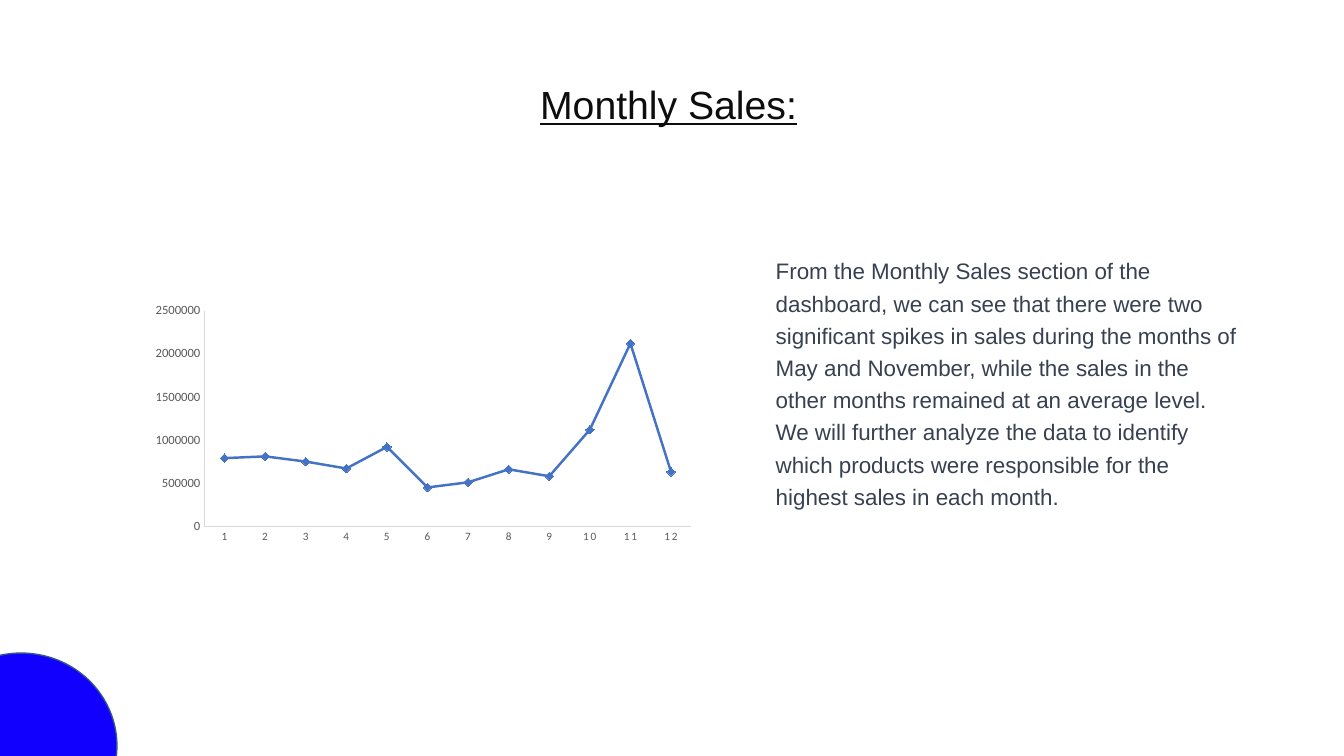
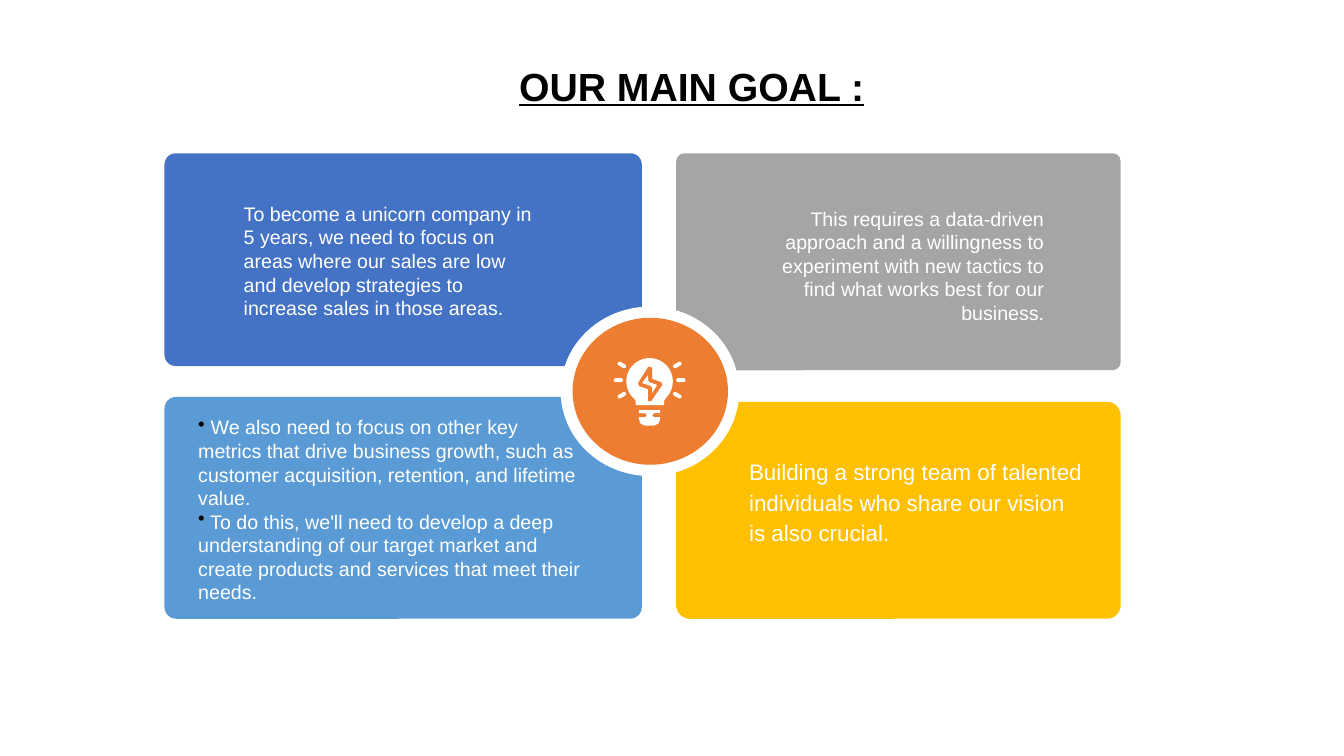
from itertools import product
from math import cos, radians, sin

from lxml.etree import SubElement
from pptx import Presentation
from pptx.chart.data import CategoryChartData
from pptx.dml.color import RGBColor
from pptx.enum.chart import XL_CHART_TYPE, XL_MARKER_STYLE, XL_TICK_MARK
from pptx.enum.shapes import MSO_SHAPE
from pptx.enum.text import MSO_ANCHOR, PP_ALIGN
from pptx.oxml import parse_xml
from pptx.oxml.ns import nsdecls, qn
from pptx.util import Pt

# Shared style
FONT = "Arial"
WHITE, BLACK = "FFFFFF", "000000"
BLUE, ORANGE = "4472C4", "ED7D31"
AXIS_TEXT, AXIS_LINE = "595959", "D9D9D9"
TITLE_SIZE = 28
color = RGBColor.from_string


def paint(shape, fill, line=None):
    shape.shadow.inherit = False
    shape.fill.solid()
    shape.fill.fore_color.rgb = color(fill)
    if line:
        shape.line.color.rgb = color(line)
        shape.line.width = Pt(1)
    else:
        shape.line.fill.background()


def add_text(slide, box, text, size, font_color, align=PP_ALIGN.LEFT, spacing=1.0,
             inset=7.2, bold=False, underline=False, bullet=False):
    frame = slide.shapes.add_textbox(*map(Pt, box)).text_frame
    frame.word_wrap = True
    frame.margin_left = frame.margin_right = Pt(7.2)
    frame.margin_top = frame.margin_bottom = Pt(inset)
    frame.text = text
    for paragraph in frame.paragraphs:
        paragraph.alignment = align
        paragraph.line_spacing = spacing
        if bullet:
            properties = paragraph._p.get_or_add_pPr()
            bullet_color = SubElement(properties, qn("a:buClr"))
            SubElement(bullet_color, qn("a:srgbClr"), val=BLACK)
            SubElement(properties, qn("a:buChar"), char="•")
        for run in paragraph.runs:
            run.font.name = FONT
            run.font.size = Pt(size)
            run.font.bold = bold
            run.font.underline = underline
            run.font.color.rgb = color(font_color)
    return frame


presentation = Presentation()
presentation.slide_width, presentation.slide_height = Pt(960), Pt(540)
blank_layout = presentation.slide_layouts[6]

# Slide 1: monthly sales
slide = presentation.slides.add_slide(blank_layout)
title = add_text(slide, (83.5, 0, 788, 153), "Monthly Sales:", TITLE_SIZE, "0D0D0D",
                 PP_ALIGN.CENTER, spacing=0.9, inset=3.6, underline=True)
title.vertical_anchor = MSO_ANCHOR.MIDDLE
add_text(
    slide, (547, 176.5, 345, 230),
    "From the Monthly Sales section of the dashboard, we can see that there were two "
    "significant spikes in sales during the months of May and November, while the sales "
    "in the other months remained at an average level. We will further analyze the data "
    "to identify which products were responsible for the highest sales in each month.",
    16, "374151", spacing=1.2, inset=3.6)

# Sales line chart
chart_data = CategoryChartData()
chart_data.categories = [str(month) for month in range(1, 13)]
chart_data.add_series("Series 1", (790000, 810000, 750000, 670000, 920000, 450000,
                                   510000, 660000, 580000, 1120000, 2120000, 630000))
chart = slide.shapes.add_chart(XL_CHART_TYPE.LINE_MARKERS, Pt(93), Pt(195), Pt(441),
                               Pt(230), chart_data).chart
chart.has_legend = chart.has_title = False
chart.font.name, chart.font.size = "Calibri", Pt(10)
chart.font.color.rgb = color(BLACK)
chart.plots[0].vary_by_categories = False
for axis, size in ((chart.category_axis, 8), (chart.value_axis, 9)):
    axis.has_major_gridlines = False
    axis.major_tick_mark = axis.minor_tick_mark = XL_TICK_MARK.NONE
    axis.format.line.color.rgb = color(AXIS_LINE)
    axis.format.line.width = Pt(0.75)
    label_font = axis.tick_labels.font
    label_font.name, label_font.size = "Calibri", Pt(size)
    label_font.color.rgb = color(AXIS_TEXT)
chart.value_axis.minimum_scale = 0
chart.value_axis.maximum_scale = 2500000
chart.value_axis.major_unit = 500000

series = chart.plots[0].series[0]
series.smooth = False
series.format.line.color.rgb = color(BLUE)
series.format.line.width = Pt(1.75)
series.marker.style, series.marker.size = XL_MARKER_STYLE.DIAMOND, 6
series.marker.format.fill.solid()
series.marker.format.fill.fore_color.rgb = color(BLUE)
series.marker.format.line.color.rgb = color(BLUE)

# Letter spacing of the months and fixed plot area
chart.element.xpath(".//c:catAx//a:defRPr")[0].set("spc", "120")
plot_area = chart.element.xpath(".//c:plotArea")[0]
for layout in plot_area.findall(qn("c:layout")):
    plot_area.remove(layout)
plot_area.insert(0, parse_xml(
    f'<c:layout {nsdecls("c")}><c:manualLayout><c:layoutTarget val="inner"/>'
    '<c:xMode val="edge"/><c:yMode val="edge"/><c:x val="0.12"/><c:y val="0.117"/>'
    '<c:w val="0.789"/><c:h val="0.67"/></c:manualLayout></c:layout>'))

# Corner circle
corner = slide.shapes.add_shape(MSO_SHAPE.OVAL, Pt(-53.5), Pt(466.5), Pt(137), Pt(132.5))
paint(corner, "1200FE", "325491")

# Slide 2: main goal
slide = presentation.slides.add_slide(blank_layout)
add_text(slide, (96, 37, 796, 50), "OUR MAIN GOAL :", TITLE_SIZE, BLACK,
         PP_ALIGN.CENTER, bold=True, underline=True)

# Four cards
LEFT_COLUMN, RIGHT_COLUMN = (117.5, 341), (483, 317.5)
cards = [
    (LEFT_COLUMN, 109.5, 152, 0.053, BLUE),
    (LEFT_COLUMN, 283.5, 158.5, 0.053, "5B9BD5"),
    (RIGHT_COLUMN, 109.5, 155, 0.037, "A5A5A5"),
    (RIGHT_COLUMN, 287, 155, 0.063, "FFC000"),
]
for (left, width), top, height, corner_radius, fill in cards:
    card = slide.shapes.add_shape(MSO_SHAPE.ROUNDED_RECTANGLE, Pt(left), Pt(top),
                                  Pt(width), Pt(height))
    card.adjustments[0] = corner_radius
    paint(card, fill)

# Centre badge
for left, top, width, height, fill in ((400.5, 219, 127.5, 121, WHITE),
                                       (409, 227, 111, 105, ORANGE)):
    badge = slide.shapes.add_shape(MSO_SHAPE.OVAL, Pt(left), Pt(top), Pt(width), Pt(height))
    paint(badge, fill)

# Light bulb: glass, bolt and socket
center_x, center_y, radius = 464, 272.4, 16.6
glass = [(center_x + radius * cos(radians(angle)), center_y + radius * sin(radians(angle)))
         for angle in range(140, 401, 5)] + [(474.5, 286), (474.5, 289.4),
                                             (454, 289.4), (454, 286)]
bolt_edge = [(464.4, 262), (465.8, 262.8), (465.8, 270.7), (472.3, 273), (473, 275),
             (465.1, 286.6), (463, 286.6), (463, 278), (456.5, 275.8), (455.8, 273.6),
             (463, 262)]
bolt = [(463, 267.8), (458.6, 273.6), (465.1, 275.8), (465.8, 277.2), (465.8, 280.8),
        (469.4, 275), (463.7, 272.9), (463, 271.4)]
socket_half = [(7.6, 293), (7.6, 295.2), (3.2, 295.2), (1.9, 296.6), (3.2, 298.1),
               (7.6, 298.1), (7.6, 299.5), (6.4, 302.6), (3.4, 304)]
socket = ([(center_x + x, y) for x, y in socket_half]
          + [(center_x - x, y) for x, y in reversed(socket_half)])
for outline, fill in ((glass, WHITE), (bolt_edge, ORANGE), (bolt, WHITE), (socket, WHITE)):
    points = [(Pt(x), Pt(y)) for x, y in outline]
    builder = slide.shapes.build_freeform(*points[0])
    builder.add_line_segments(points[1:], close=True)
    paint(builder.convert_to_shape(), fill)

# Light rays
ray_width, ray_height = 6.6, 2.8
for side, rise in product((-1, 1), (-1, 0, 1)):
    ray_x = center_x + side * (22.3 - 2.5 * abs(rise))
    ray_y = 271.5 + 10.8 * rise
    ray = slide.shapes.add_shape(
        MSO_SHAPE.ROUNDED_RECTANGLE, Pt(ray_x - ray_width / 2), Pt(ray_y - ray_height / 2),
        Pt(ray_width), Pt(ray_height))
    ray.adjustments[0] = 0.5
    ray.rotation = 30 * side * rise
    paint(ray, WHITE)

# Card texts
add_text(
    slide, (167, 137, 223, 42),
    "To become a unicorn company in 5 years, we need to focus on areas where our sales "
    "are low and develop strategies to increase sales in those areas.", 14, WHITE)
team = add_text(
    slide, (528, 317, 254, 28),
    "Building a strong team of talented individuals who share our vision is also crucial.",
    16, WHITE, spacing=1.15)
team.paragraphs[0].space_after = Pt(16)
add_text(
    slide, (134.5, 289.5, 289, 32.5),
    " We also need to focus on other key metrics that drive business growth, such as "
    "customer acquisition, retention, and lifetime value.\n"
    " To do this, we'll need to develop a deep understanding of our target market and "
    "create products and services that meet their needs.", 14, WHITE, bullet=True)
add_text(
    slide, (530, 140.5, 223, 42),
    "This requires a data-driven approach and a willingness to experiment with new "
    "tactics to find what works best for our business.", 14, WHITE, PP_ALIGN.RIGHT)

presentation.save("out.pptx")
